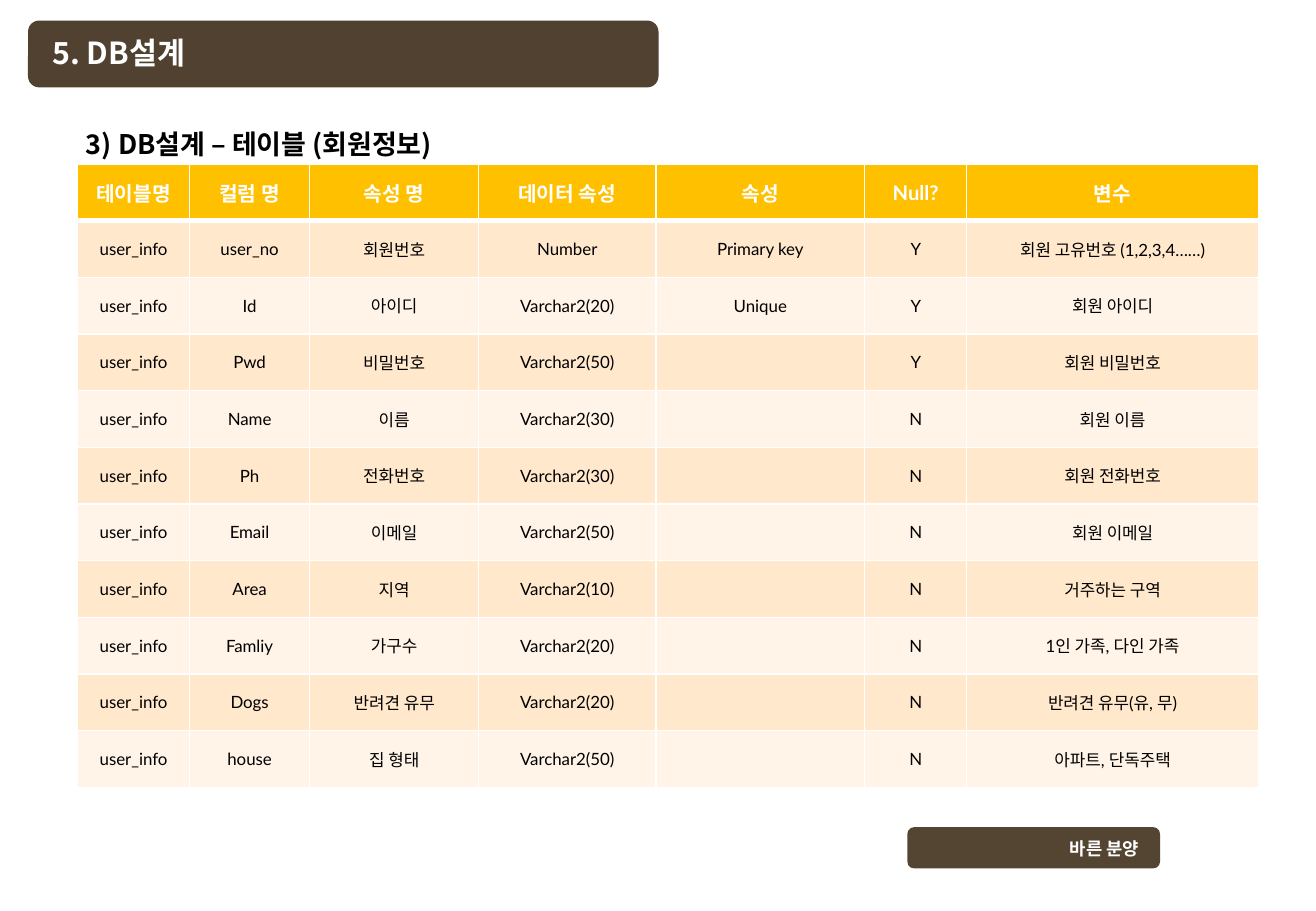
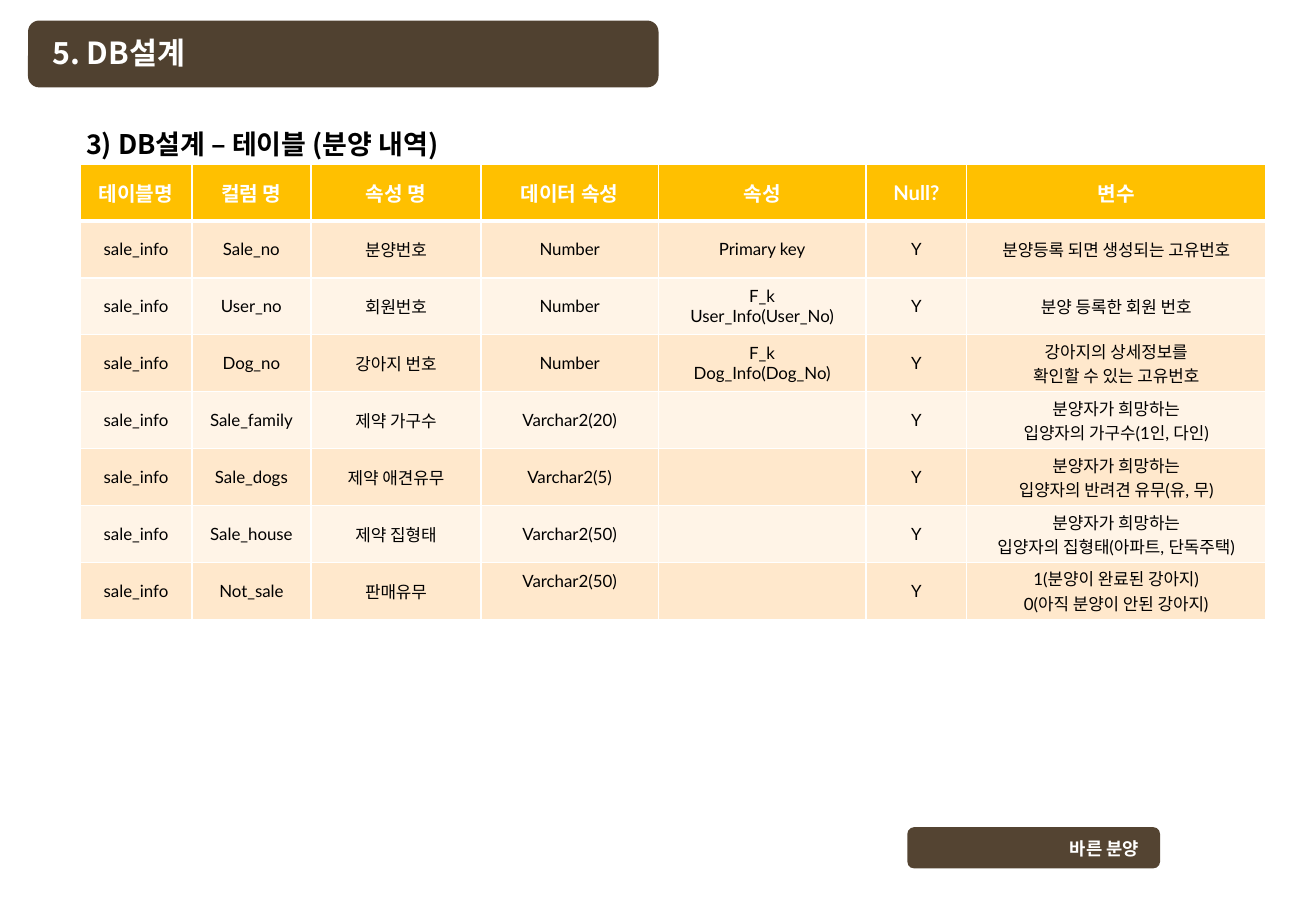
"""Builds two slides that list the columns of the member and sale tables."""
from dataclasses import dataclass

from lxml import etree
from pptx import Presentation
from pptx.dml.color import RGBColor
from pptx.enum import shapes, text
from pptx.oxml import ns
from pptx.util import Pt


@dataclass(frozen=True)
class Theme:
    bar: str = "504130"
    footer: str = "544432"
    header: str = "FFC000"
    bands: tuple = ("FFE8CC", "FFF4E7")
    white: str = "FFFFFF"
    black: str = "000000"
    latin: str = "Lato"
    korean: str = "Noto Sans CJK KR"
    title_size: float = 18
    heading_size: float = 16
    header_size: float = 12
    footer_size: float = 10.5
    cell_size: float = 10


T = Theme()


def write(tf, content, size, color=T.white, font=T.korean, bold=True,
          align=text.PP_ALIGN.LEFT):
    for i, line in enumerate(content.split("\n")):
        p = tf.paragraphs[0] if i == 0 else tf.add_paragraph()
        p.alignment = align
        r = p.add_run()
        r.text = line
        r.font.size = Pt(size)
        r.font.bold = bold
        r.font.name = font
        r.font.color.rgb = RGBColor.from_string(color)
        ea = etree.SubElement(r.font._element, ns.qn("a:ea"))
        ea.set("typeface", T.korean)


def label(sp, box, content, size, color=T.white):
    sp.left, sp.top, sp.width, sp.height = map(Pt, box)
    tf = sp.text_frame
    tf.auto_size = text.MSO_AUTO_SIZE.NONE
    tf.word_wrap = False
    tf.vertical_anchor = text.MSO_ANCHOR.MIDDLE
    tf.margin_left = tf.margin_right = Pt(7.2)
    tf.margin_top = tf.margin_bottom = 0
    write(tf, content, size, color)


HEADERS = ["테이블명", "컬럼 명", "속성 명", "데이터 속성", "속성", "Null?", "변수"]

PAGES = [
    dict(
        heading="3) DB설계 – 테이블 (회원정보)", heading_width=239.8,
        table="user_info", left=46.1, row_height=33.6,
        widths=[66.2, 71.3, 100.1, 105.1, 123.8, 60.5, 172.8],
        rows=[
            ["user_no", "회원번호", "Number", "Primary key", "Y", "회원 고유번호 (1,2,3,4……)"],
            ["Id", "아이디", "Varchar2(20)", "Unique", "Y", "회원 아이디"],
            ["Pwd", "비밀번호", "Varchar2(50)", "", "Y", "회원 비밀번호"],
            ["Name", "이름", "Varchar2(30)", "", "N", "회원 이름"],
            ["Ph", "전화번호", "Varchar2(30)", "", "N", "회원 전화번호"],
            ["Email", "이메일", "Varchar2(50)", "", "N", "회원 이메일"],
            ["Area", "지역", "Varchar2(10)", "", "N", "거주하는 구역"],
            ["Famliy", "가구수", "Varchar2(20)", "", "N", "1인 가족, 다인 가족"],
            ["Dogs", "반려견 유무", "Varchar2(20)", "", "N", "반려견 유무(유, 무)"],
            ["house", "집 형태", "Varchar2(50)", "", "N", "아파트, 단독주택"],
        ]),
    dict(
        heading="3) DB설계 – 테이블 (분양 내역)", heading_width=245.5,
        table="sale_info", left=47.5, row_height=33.75,
        widths=[66.2, 70.6, 100.8, 105.1, 123.1, 59.8, 177.1],
        rows=[
            ["Sale_no", "분양번호", "Number", "Primary key", "Y", "분양등록 되면 생성되는 고유번호"],
            ["User_no", "회원번호", "Number", "F_k\nUser_Info(User_No)", "Y", "분양 등록한 회원 번호"],
            ["Dog_no", "강아지 번호", "Number", "F_k\nDog_Info(Dog_No)", "Y",
             "강아지의 상세정보를\n확인할 수 있는 고유번호"],
            ["Sale_family", "제약 가구수", "Varchar2(20)", "", "Y",
             "분양자가 희망하는\n입양자의 가구수(1인, 다인)"],
            ["Sale_dogs", "제약 애견유무", "Varchar2(5)", "", "Y",
             "분양자가 희망하는\n입양자의 반려견 유무(유, 무)"],
            ["Sale_house", "제약 집형태", "Varchar2(50)", "", "Y",
             "분양자가 희망하는\n입양자의 집형태(아파트, 단독주택)"],
            ["Not_sale", "판매유무", "Varchar2(50)", "", "Y",
             "1(분양이 완료된 강아지)\n0(아직 분양이 안된 강아지)"],
        ]),
]

prs = Presentation()
prs.slide_width, prs.slide_height = Pt(780), Pt(540)
layout = prs.slide_layouts[5]
slides = [prs.slides.add_slide(layout) for _ in PAGES]

bands = [((16.6, 12.2, 373.7, 39.6), T.bar), ((537.8, 490.3, 149.8, 24.5), T.footer)]
for box, color in bands:
    sp = slides[0].shapes.add_shape(shapes.MSO_SHAPE.ROUNDED_RECTANGLE, *map(Pt, box))
    sp.shadow.inherit = False
    sp.fill.solid()
    sp.fill.fore_color.rgb = RGBColor.from_string(color)
    sp.line.fill.background()
    layout.shapes.element.append(sp.element)
sp = slides[0].shapes.add_textbox(0, 0, 0, 0)
label(sp, (627.1, 492.5, 60.5, 20.2), "바른 분양", T.footer_size)
layout.shapes.element.append(sp.element)

for s, page in zip(slides, PAGES):
    label(s.shapes.title, (23.8, 16.6, 97.9, 28.8), "5. DB설계", T.title_size)
    label(s.shapes.add_textbox(0, 0, 0, 0), (43.9, 72, page["heading_width"], 26.6),
          page["heading"], T.heading_size, T.black)

    rows = [HEADERS] + [[page["table"], *row] for row in page["rows"]]
    height = page["row_height"]
    table = s.shapes.add_table(len(rows), len(HEADERS), Pt(page["left"]), Pt(97.2),
                               Pt(sum(page["widths"])), Pt(height * len(rows))).table
    for column, width in zip(table.columns, page["widths"]):
        column.width = Pt(width)
    for i, row in enumerate(rows):
        table.rows[i].height = Pt(height)
        for j, content in enumerate(row):
            cell = table.cell(i, j)
            cell.vertical_anchor = text.MSO_ANCHOR.MIDDLE
            cell.margin_left = cell.margin_right = Pt(3.6)
            cell.margin_top = cell.margin_bottom = Pt(2)
            if row[1] == "Not_sale" and j == 3:
                cell.margin_bottom = Pt(14)
            if i == 0:
                font = T.korean if content == "변수" else T.latin
                write(cell.text_frame, content, T.header_size, font=font,
                      align=text.PP_ALIGN.CENTER)
            elif content:
                write(cell.text_frame, content, T.cell_size, T.black, T.latin, False,
                      text.PP_ALIGN.CENTER)
            for side in ("lnL", "lnR", "lnT", "lnB"):
                thick = (i == 0 and side == "lnB") or (i == 1 and side == "lnT")
                ln = etree.SubElement(cell._tc.get_or_add_tcPr(), ns.qn(f"a:{side}"),
                                      w=str(Pt(3 if thick else 1)))
                fill = etree.SubElement(ln, ns.qn("a:solidFill"))
                etree.SubElement(fill, ns.qn("a:srgbClr"), val=T.white)
            cell.fill.solid()
            color = T.header if i == 0 else T.bands[(i - 1) % 2]
            cell.fill.fore_color.rgb = RGBColor.from_string(color)

prs.save("out.pptx")
